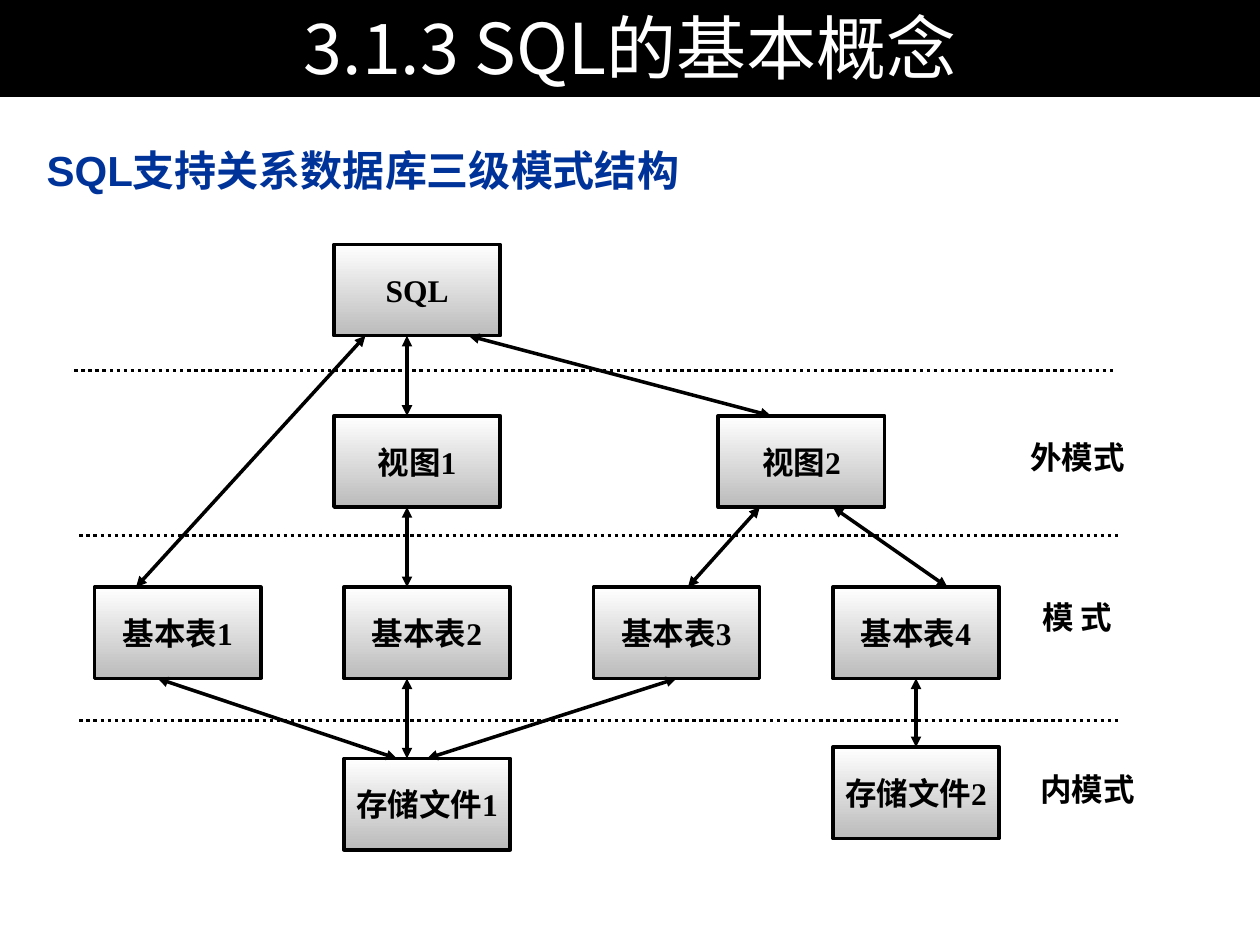
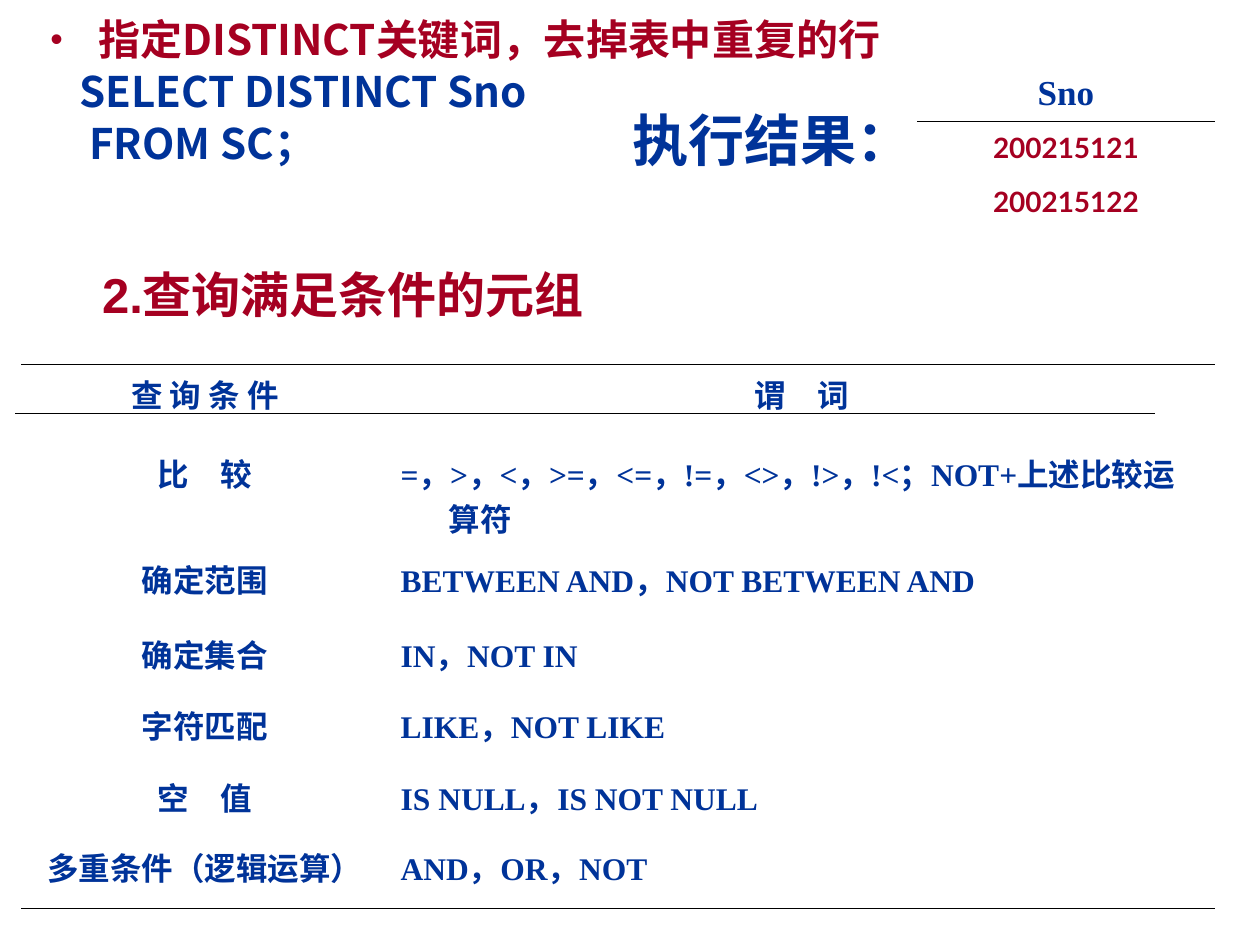
from lxml import etree
from pptx import Presentation
from pptx.dml.color import RGBColor
from pptx.enum.dml import MSO_LINE
from pptx.enum.shapes import MSO_CONNECTOR, MSO_SHAPE
from pptx.enum.text import MSO_ANCHOR, PP_ALIGN
from pptx.oxml.ns import qn
from pptx.util import Inches, Pt

LEFT, CENTER = PP_ALIGN.LEFT, PP_ALIGN.CENTER
TOP, MIDDLE = MSO_ANCHOR.TOP, MSO_ANCHOR.MIDDLE
RECTANGLE, STRAIGHT, DOTTED = MSO_SHAPE.RECTANGLE, MSO_CONNECTOR.STRAIGHT, MSO_LINE.ROUND_DOT
TOP_SITE, BOTTOM_SITE = 0, 2
COLUMNS, ROWS = 100, 75
COLORS = {"black": "000000", "white": "FFFFFF", "gray": "BBBBBB", "blue": "003399", "red": "A50021"}
SERIF, SANS, EAST, DIGITS = "Times New Roman", "Arial", "Noto Sans CJK SC", "Lato"
HANGING = 0.38


class Deck:
    """Hold the shared style and the current slide, measured on a 100 by 75 grid."""

    def __init__(self):
        self.presentation = Presentation()
        self.presentation.slide_width = Inches(10)
        self.presentation.slide_height = Inches(7.5)
        self.slide = None

    def new_slide(self):
        self.slide = self.presentation.slides.add_slide(self.presentation.slide_layouts[6])

    def x(self, columns):
        return round(self.presentation.slide_width * columns / COLUMNS)

    def y(self, rows):
        return round(self.presentation.slide_height * rows / ROWS)

    def area(self, left, top, width, height):
        return self.x(left), self.y(top), self.x(width), self.y(height)

    def color(self, name):
        return RGBColor.from_string(COLORS[name])

    def style_run(self, paragraph, text, size, color="black", font=SERIF, bold=True, align=CENTER, **spacing):
        for name, value in {"alignment": align, **spacing}.items():
            setattr(paragraph, name, value)
        run = paragraph.add_run()
        run.text = text
        for name, value in {"name": font, "size": Pt(size), "bold": bold}.items():
            setattr(run.font, name, value)
        run.font.color.rgb = self.color(color)
        etree.SubElement(run.font._element, qn("a:ea"), typeface=EAST)

    def indent(self, paragraph, margin, first=0):
        properties = paragraph._p.get_or_add_pPr()
        properties.set("marL", str(Inches(margin)))
        properties.set("indent", str(Inches(first)))
        return properties

    def bullet(self, paragraph, color):
        properties = self.indent(paragraph, HANGING, -HANGING)
        fill = etree.SubElement(properties, qn("a:buClr"))
        etree.SubElement(fill, qn("a:srgbClr"), val=COLORS[color])
        etree.SubElement(properties, qn("a:buSzPct"), val="85000")
        etree.SubElement(properties, qn("a:buFont"), typeface=SANS)
        etree.SubElement(properties, qn("a:buChar"), char="•")

    def frame(self, shape, anchor=TOP, wrap=True, side=0.1, top=0.05, bottom=0.05):
        values = {"vertical_anchor": anchor, "word_wrap": wrap, "margin_left": Inches(side),
                  "margin_right": Inches(side), "margin_top": Inches(top), "margin_bottom": Inches(bottom)}
        for name, value in values.items():
            setattr(shape.text_frame, name, value)
        return shape.text_frame

    def text(self, area, text, size, wrap=True, **style):
        shape = self.slide.shapes.add_textbox(*self.area(*area))
        frame = self.frame(shape, wrap=wrap, top=0)
        self.style_run(frame.paragraphs[0], text, size, **style)

    def rectangle(self, area):
        shape = self.slide.shapes.add_shape(RECTANGLE, *self.area(*area))
        shape.shadow.inherit = False
        return shape

    def title(self, text):
        band = self.rectangle((0, 0, COLUMNS, 7.7))
        band.fill.solid()
        band.fill.fore_color.rgb = self.color("black")
        band.line.fill.background()
        frame = self.frame(band, MIDDLE, side=0.2, bottom=0.08)
        self.style_run(frame.paragraphs[0], text, 40, "white", EAST, bold=False)

    def box(self, left, top, text):
        box = self.rectangle((left, top, 13.2, 7.25))
        box.fill.gradient()
        box.fill.gradient_angle = 270
        for stop, name in zip(box.fill.gradient_stops, ("white", "gray")):
            stop.color.rgb = self.color(name)
        box.line.color.rgb = self.color("black")
        box.line.width = Pt(2)
        self.style_run(self.frame(box, MIDDLE, wrap=False).paragraphs[0], text, 18)
        return box

    def line(self, start, end, width, dash=None):
        connector = self.slide.shapes.add_connector(STRAIGHT, *start, *end)
        etree.SubElement(connector._element.spPr, qn("a:effectLst"))
        connector.line.color.rgb = self.color("black")
        connector.line.width = Pt(width)
        if dash:
            connector.line.dash_style = dash
        return connector

    def rule(self, left, top, width, weight, dash=None):
        self.line((self.x(left), self.y(top)), (self.x(left + width), self.y(top)), weight, dash)

    def arrow(self, upper, lower, start=None, end=None):
        start_x = upper.left + upper.width // 2 if start is None else self.x(start)
        end_x = lower.left + lower.width // 2 if end is None else self.x(end)
        connector = self.line((start_x, upper.top + upper.height), (end_x, lower.top), 2)
        for tag in ("a:headEnd", "a:tailEnd"):
            etree.SubElement(connector.line._ln, qn(tag), type="triangle")
        if start is None:
            connector.begin_connect(upper, BOTTOM_SITE)
        if end is None:
            connector.end_connect(lower, TOP_SITE)

    def borders(self, cell, ruled):
        properties = cell._tc.get_or_add_tcPr()
        for position, side in enumerate("LRTB"):
            line = etree.Element(qn(f"a:ln{side}"), w=str(Pt(0.45)))
            if side in ruled:
                fill = etree.SubElement(line, qn("a:solidFill"))
                etree.SubElement(fill, qn("a:srgbClr"), val=COLORS["black"])
            else:
                etree.SubElement(line, qn("a:noFill"))
            properties.insert(position, line)

    def table(self, left, top, widths, heights, texts, ruled_edges, style, anchor=TOP, hanging=0):
        area = self.area(left, top, sum(widths), sum(heights))
        table = self.slide.shapes.add_table(len(heights), len(widths), *area).table
        table.first_row = table.horz_banding = False
        for column, width in zip(table.columns, widths):
            column.width = self.x(width)
        for row, height in zip(table.rows, heights):
            row.height = self.y(height)
        for row, values in enumerate(texts):
            ruled = "T" * (row in ruled_edges) + "B" * (row + 1 in ruled_edges)
            for column, value in enumerate(values):
                cell = table.cell(row, column)
                cell.vertical_anchor = anchor
                cell.fill.background()
                self.borders(cell, ruled)
                paragraph = cell.text_frame.paragraphs[0]
                self.indent(paragraph, hanging, -hanging)
                self.style_run(paragraph, value, **style(row, column))


def schema_slide(deck):
    """Draw the three-level schema diagram."""
    deck.new_slide()
    deck.title("3.1.3 SQL的基本概念")
    deck.text((2.3, 9.9, 53, 6.6), "SQL支持关系数据库三级模式结构", 24, wrap=False,
              color="blue", font=SANS, line_spacing=1.4)
    levels = [19.4 + 13.6 * level for level in range(4)]
    sql = deck.box(26.5, levels[0], "SQL")
    view1, view2 = [deck.box(left, levels[1], f"视图{number}")
                    for number, left in enumerate((26.5, 57), 1)]
    table1, table2, table3, table4 = [deck.box(left, levels[2], f"基本表{number}")
                                      for number, left in enumerate((7.5, 27.3, 47.1, 66.1), 1)]
    file1 = deck.box(27.3, levels[3], "存储文件1")
    file2 = deck.box(66.1, 59.3, "存储文件2")
    for link in ((sql, table1, 29, 10.8), (sql, view1, 32.3, 32.3), (sql, view2, 37.2, 61.2),
                 (view1, table2, 32.3, 32.3), (view2, table3, 60.3, 54.6), (view2, table4, 66.1, 75.2),
                 (table1, file1, 12.5, 31.5), (table2, file1, 32.3, 32.3),
                 (table3, file1), (table4, file2)):
        deck.arrow(*link)
    for left, top in ((5.9, 29.4), (6.3, 42.5), (6.3, 57.2)):
        deck.rule(left, top, 82.5, 2, DOTTED)
    for left, top, label in ((79.3, 34.8, "外模式"), (79.3, 47.5, "模 式"), (80.1, 61.1, "内模式")):
        deck.text((left, top, 12.4, 4), label, 18)


def query_slide(deck):
    """Show the DISTINCT query, its result and the table of predicates."""
    deck.new_slide()
    body = deck.slide.shapes.add_textbox(*deck.area(2, 0, 91.6, 32))
    frame = deck.frame(body, side=0.2, top=0.18, bottom=0.15)
    keyword = frame.paragraphs[0]
    deck.bullet(keyword, "red")
    format_values = {"size": 24, "font": EAST, "align": LEFT, "line_spacing": 0.82}
    deck.style_run(keyword, "指定DISTINCT关键词，去掉表中重复的行", color="red", **format_values)
    for margin, code in ((0.23, "SELECT DISTINCT Sno"), (0.31, "FROM SC；")):
        paragraph = frame.add_paragraph()
        deck.indent(paragraph, margin)
        deck.style_run(paragraph, code, color="blue", space_before=Pt(6), **format_values)

    def result_style(row, column):
        if row == 0:
            return {"size": 20, "color": "blue"}
        return {"size": 16, "color": "red", "font": DIGITS}

    def predicate_style(row, column):
        return {"size": 18, "color": "blue", "align": LEFT if row and column else CENTER}

    deck.table(72.8, 5.2, [23.6], [4.4, 4.3, 4.2], [["Sno"], ["200215121"], ["200215122"]],
               {1}, result_style, MIDDLE)
    deck.text((2, 21, 50.4, 5.7), "2.查询满足条件的元组", 28, color="red", font=SANS)
    deck.text((49.2, 8.4, 28.3, 12.8), "执行结果：", 32, color="blue", font=SANS, align=LEFT)
    predicates = [
        ("查 询 条 件", "谓　词"),
        ("比　较", "=，>，<，>=，<=，!=，<>，!>，!<；NOT+上述比较运算符"),
        ("确定范围", "BETWEEN AND，NOT BETWEEN AND"),
        ("确定集合", "IN，NOT IN"),
        ("字符匹配", "LIKE，NOT LIKE"),
        ("空　值", "IS NULL，IS NOT NULL"),
        ("多重条件（逻辑运算）", "AND，OR，NOT"),
    ]
    deck.table(1.7, 28.9, [29.1, 65.6], [6.3, 8.4, 6, 5.6, 5.7, 5.6, 5.6], predicates,
               {0, len(predicates)}, predicate_style, hanging=HANGING)
    deck.rule(1.2, 32.8, 90.5, 0.75)


def main():
    """Build both slides and save them."""
    deck = Deck()
    schema_slide(deck)
    query_slide(deck)
    deck.presentation.save("out.pptx")


if __name__ == "__main__":
    main()
